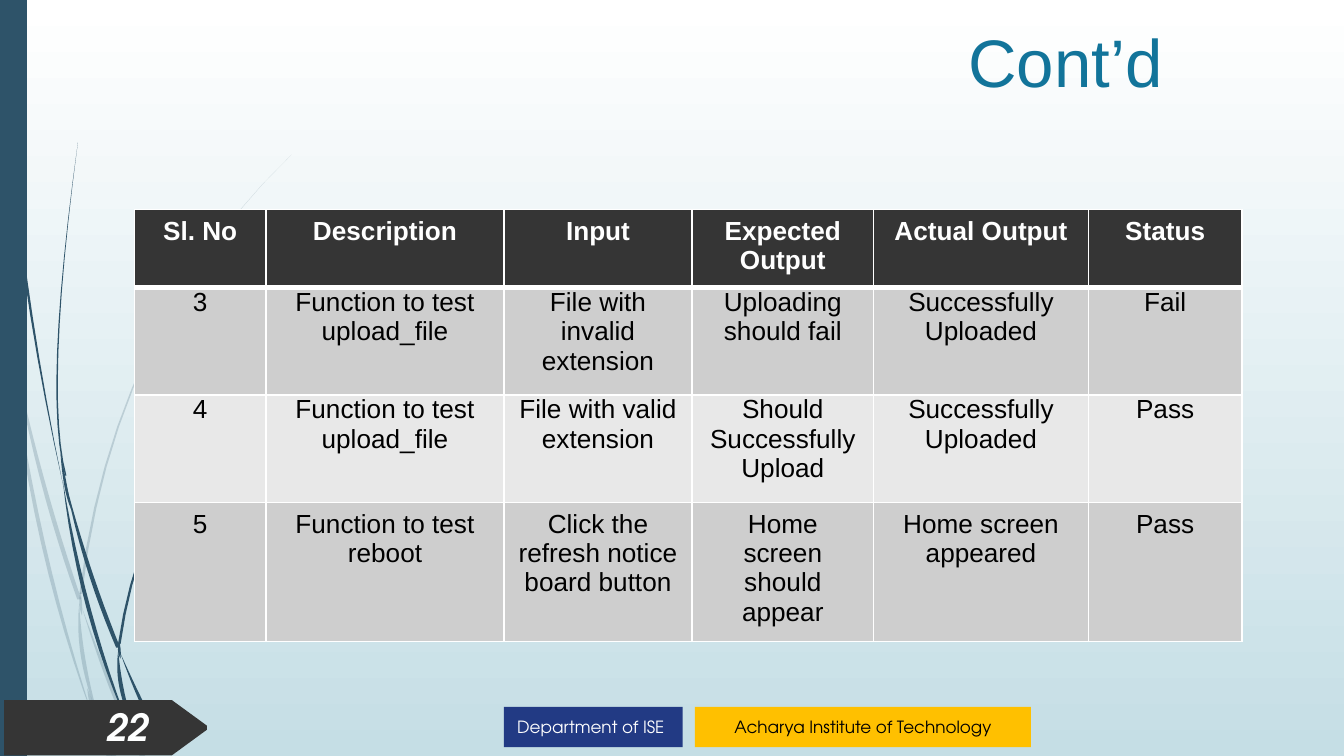
from lxml import etree
from pptx import Presentation
from pptx.dml.color import RGBColor
from pptx.enum.shapes import MSO_SHAPE
from pptx.enum.text import MSO_ANCHOR, PP_ALIGN
from pptx.oxml.ns import qn
from pptx.util import Inches, Pt

LEFT, CENTER, RIGHT = PP_ALIGN.LEFT, PP_ALIGN.CENTER, PP_ALIGN.RIGHT
TOP, MIDDLE = MSO_ANCHOR.TOP, MSO_ANCHOR.MIDDLE
RECTANGLE = MSO_SHAPE.RECTANGLE
TITLE_ONLY = 5
UNIT = Inches(0.01)  # the grid has 1000 columns and 562.5 rows
WIDTH, HEIGHT = 1000, 562.5
CURVE_STEPS = 12
BODY_FONT, LABEL_FONT = "Arial", "TeX Gyre Adventor"
NAVY, CHARCOAL, WHITE, BLACK = "2E5369", "353535", "FFFFFF", "000000"
DARK_BAND, LIGHT_BAND = "CECECE", "E8E8E8"

# Each strand passes three places, each given as column, row and thickness.
SHARED_STRANDS = [
    [(10, 262, 0), (31, 355, 3), (59, 446, 3)],
    [(61, 452, 0), (83, 512, 3), (106, 563, 4)],
    [(73, 533, 0), (78, 550, 2), (85, 563, 3)],
    [(8, 263, 0), (32, 404, 3), (70, 536, 0)],
    [(59, 449, 0), (62, 490, 3), (73, 533, 0)],
    [(60, 442, 2), (111, 261, 1), (217, 115, 0)],
    [(70, 536, 0), (75, 551, 2), (81, 563, 3)],
    [(60, 440, 0), (60, 449, 2), (61, 458, 0)],
    [(65, 512, 0), (72, 535, 4), (83, 563, 1)],
]
PALE_STRANDS = [[(0, 218, 3), (3, 237, 2), (8, 263, 0)]]
DARK_STRANDS = [
    [(2, 0, 1), (15, 175, 2), (47, 361, 0)],
    [(58, 106, 0), (43, 262, 1), (49, 354, 1)],
    [(45, 337, 0), (49, 362, 2), (53, 379, 0)],
]
PAGE_ARROW = [(3, 521), (128, 521), (154, 540), (154, 543), (128, 562), (3, 562)]
COLUMNS = [98, 177, 140, 135, 160, 114]
ROWS = [58, 80, 80, 80]
TEST_CASES = [
    ["Sl. No", "Description", "Input", "Expected Output", "Actual Output", "Status"],
    ["3", "Function to test upload_file", "File with invalid extension", "Uploading should fail",
     "Successfully Uploaded", "Fail"],
    ["4", "Function to test upload_file", "File with valid extension", "Should Successfully Upload",
     "Successfully Uploaded", "Pass"],
    ["5", "Function to test\nreboot", "Click the refresh notice board button", "Home screen should appear",
     "Home screen appeared", "Pass"],
]


def color(value):
    return RGBColor.from_string(value)


def grid(*values):
    return [round(value * UNIT) for value in values]


def move_to_front(strand):
    """Shrink a pale strand towards its place in the dark tuft."""
    return [(88 + 0.81 * (x - 59), 484 + 0.68 * (y - 449), thickness) for x, y, thickness in strand]


def ribbon(strand):
    """Outline a tapered curve through the three places of a strand."""
    left, right = [], []
    for step in range(CURVE_STEPS + 1):
        t = step / CURVE_STEPS
        weights = (1 - t) * (1 - 2 * t), 4 * t * (1 - t), t * (2 * t - 1)
        x, y, thickness = (sum(w * v for w, v in zip(weights, values)) for values in zip(*strand))
        y = min(y, HEIGHT)
        left.append((x - thickness / 2, y))
        right.append((x + thickness / 2, y))
    return left + right[::-1]


def write_text(frame, text, size=14, font=BODY_FONT, ink=BLACK, bold=False, italic=False,
               align=CENTER, space_after=0):
    frame.word_wrap = True
    frame.text = text
    for paragraph in frame.paragraphs:
        paragraph.alignment = align
        paragraph.space_after = Pt(space_after)
        paragraph.font.size, paragraph.font.name = Pt(size), font
        paragraph.font.bold, paragraph.font.italic = bold, italic
        paragraph.font.color.rgb = color(ink)


class Deck:
    """Holds the presentation, its style and the current slide."""

    def __init__(self):
        self.presentation = Presentation()
        self.presentation.slide_width, self.presentation.slide_height = grid(WIDTH, HEIGHT)
        self.slide = self.presentation.slides.add_slide(self.presentation.slide_layouts[TITLE_ONLY])
        self.shapes = self.slide.shapes

    def background(self, *stops):
        fill = self.slide.background.fill
        fill.gradient()
        fill.gradient_angle = 270
        for stop, value in zip(fill.gradient_stops, stops):
            stop.color.rgb = color(value)

    def paint(self, shape, fill, opacity=100):
        shape.shadow.inherit = False
        shape.line.fill.background()
        shape.fill.solid()
        shape.fill.fore_color.rgb = color(fill)
        if opacity < 100:
            tint = shape._element.spPr.find(qn("a:solidFill")).find(qn("a:srgbClr"))
            etree.SubElement(tint, qn("a:alpha"), val=str(opacity * 1000))

    def outline(self, points, fill, opacity=100):
        corners = [grid(*point) for point in points]
        builder = self.shapes.build_freeform(*corners[0])
        builder.add_line_segments(corners[1:], close=True)
        self.paint(builder.convert_to_shape(), fill, opacity)

    def bar(self, box, fill, text="", **style):
        shape = self.shapes.add_shape(RECTANGLE, *grid(*box))
        self.paint(shape, fill)
        if text:
            write_text(shape.text_frame, text, size=9, font=LABEL_FONT, **style)

    def text(self, box, text, **style):
        frame = self.shapes.add_textbox(*grid(*box)).text_frame
        write_text(frame, text, **style)
        frame.vertical_anchor = MIDDLE

    def title(self, box, text, **style):
        title = self.shapes.title
        title.left, title.top, title.width, title.height = grid(*box)
        frame = title.text_frame
        frame.vertical_anchor = TOP
        frame.margin_left, frame.margin_top, frame.margin_right = grid(10, 15, 10)
        write_text(frame, text, **style)

    def borders(self, cell, **widths):
        properties = cell._tc.get_or_add_tcPr()
        for index, (side, width) in enumerate(widths.items()):
            line = etree.Element(qn("a:ln" + side), w=str(Pt(width)))
            fill = etree.SubElement(line, qn("a:solidFill"))
            etree.SubElement(fill, qn("a:srgbClr"), val=WHITE)
            properties.insert(index, line)

    def table(self, left, top):
        box = grid(left, top, sum(COLUMNS), sum(ROWS))
        table = self.shapes.add_table(len(ROWS), len(COLUMNS), *box).table
        table.horz_banding = False
        for column, width in zip(table.columns, grid(*COLUMNS)):
            column.width = width
        for index, (row, height) in enumerate(zip(table.rows, grid(*ROWS))):
            row.height = height
            header, tight = index == 0, index in (1, 2)
            band = CHARCOAL if header else (LIGHT_BAND, DARK_BAND)[index % 2]
            for cell, text in zip(row.cells, TEST_CASES[index]):
                if tight:
                    cell.margin_left, cell.margin_top, cell.margin_right, cell.margin_bottom = grid(7, 0, 7, 0)
                write_text(cell.text_frame, text, bold=header, ink=WHITE if header else BLACK,
                           space_after=8 if tight else 0)
                self.borders(cell, L=1, R=1, T=3 if index == 1 else 1, B=3 if header else 1)
                cell.fill.solid()
                cell.fill.fore_color.rgb = color(band)


def main():
    deck = Deck()
    deck.background(WHITE, "C5DEE5")
    for strand in PALE_STRANDS + SHARED_STRANDS:
        deck.outline(ribbon(strand), NAVY, opacity=20)
    for strand in DARK_STRANDS + [move_to_front(strand) for strand in SHARED_STRANDS]:
        deck.outline(ribbon(strand), NAVY)
    deck.bar((0, 0, 20, HEIGHT), NAVY)
    deck.bar((517, 526, 250, 30), "FFC000", "Acharya Institute of Technology")
    deck.bar((375, 526, 133, 30), "223A84", "Department of ISE", ink=WHITE, align=LEFT)
    deck.outline(PAGE_ARROW, CHARCOAL)
    deck.text((56, 526, 64, 30), "22", size=20, font=LABEL_FONT, ink="FEFFFF",
              bold=True, italic=True, align=RIGHT)
    deck.table(100, 156)
    deck.title((692, 0, 183, 67), "Cont’d", size=36, ink="12749A", align=RIGHT)
    deck.presentation.save("out.pptx")


if __name__ == "__main__":
    main()
